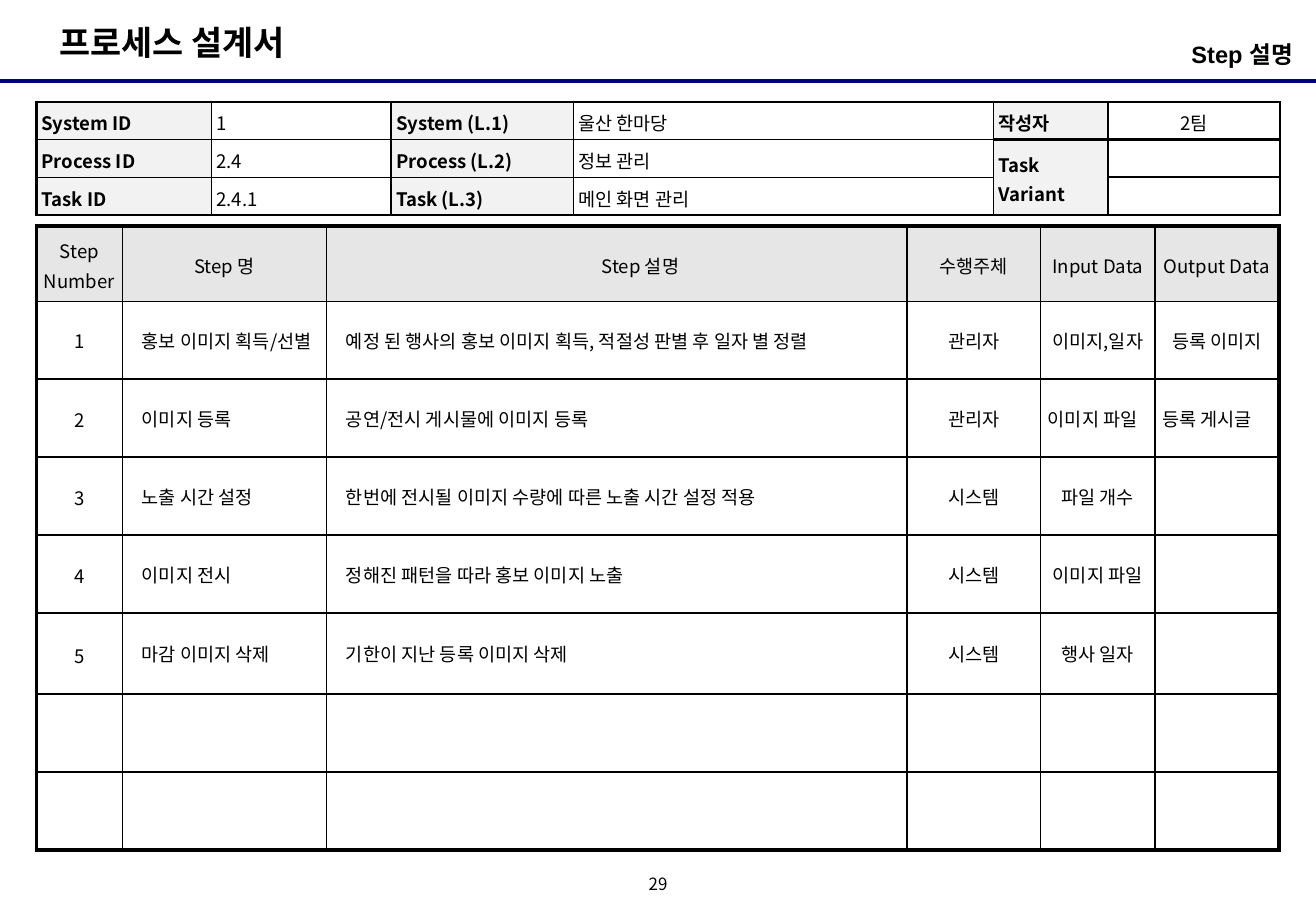
from lxml.etree import SubElement as Sub
from pptx import Presentation
from pptx.dml.color import RGBColor
from pptx.enum.shapes import MSO_CONNECTOR as Conn
from pptx.enum.text import MSO_ANCHOR as Anchor, PP_ALIGN as Align
from pptx.oxml.ns import qn
from pptx.util import Pt

NOTO = "Noto Sans CJK KR"
BLACK, NAVY = "000000", "000080"
LABEL, HEAD = "F2F2F2", "E6E6E6"
LEFT = 21.6

INFO = [
    ["System ID", "1", "System (L.1)", "울산 한마당", "작성자", "2팀"],
    ["Process ID", "2.4", "Process (L.2)", "정보 관리", "Task Variant", ""],
    ["Task ID", "2.4.1", "Task (L.3)", "메인 화면 관리", "", ""],
]
INFO_COLS = [103.7, 106.6, 108, 249.1, 67.7, 102.2]
INFO_ROWS = [22.4] * 3

STEPS = [
    ["Step Number", "Step 명", "Step 설명", "수행주체", "Input Data", "Output Data"],
    ["1", "홍보 이미지 획득/선별",
     "예정 된 행사의 홍보 이미지 획득, 적절성 판별 후 일자 별 정렬",
     "관리자", "이미지,일자", "등록 이미지"],
    ["2", "이미지 등록", "공연/전시 게시물에 이미지 등록",
     "관리자", "이미지 파일", "등록 게시글"],
    ["3", "노출 시간 설정", "한번에 전시될 이미지 수량에 따른 노출 시간 설정 적용",
     "시스템", "파일 개수", ""],
    ["4", "이미지 전시", "정해진 패턴을 따라 홍보 이미지 노출",
     "시스템", "이미지 파일", ""],
    ["5", "마감 이미지 삭제", "기한이 지난 등록 이미지 삭제",
     "시스템", "행사 일자", ""],
    [""] * 6,
    [""] * 6,
]
STEP_COLS = [51, 121, 344, 79.2, 67.8, 73.6]
STEP_ROWS = [44.6, 46.2, 46.2, 46.2, 46.2, 48.2, 46.2, 46.2]


def color(code):
    return RGBColor.from_string(code)


def write(para, text, size, bold=False, face=NOTO, align=Align.LEFT):
    para.text = text
    para.alignment = align
    font = para.font
    font.name, font.size, font.bold = face, Pt(size), bold
    font.color.rgb = color(BLACK)
    Sub(font._element, qn("a:ea")).set("typeface", NOTO)
    if not text:
        Sub(para._p, qn("a:endParaRPr")).set("sz", str(size * 100))


def add_text(slide, box, text, size, wrap=False, pad=None, **style):
    frame = slide.shapes.add_textbox(*map(Pt, box)).text_frame
    frame.word_wrap = wrap
    if pad:
        set_pad(frame, pad)
    write(frame.paragraphs[0], text, size, **style)
    return frame


def set_pad(item, pad):
    (item.margin_left, item.margin_top,
     item.margin_right, item.margin_bottom) = map(Pt, pad)


def set_edges(cell, widths):
    """Draw the left, right, top and bottom borders of a cell."""
    props = cell._tc.get_or_add_tcPr()
    for side, width in zip("LRTB", widths):
        line = Sub(props, qn(f"a:ln{side}"), w=str(Pt(width)))
        fill = Sub(line, qn("a:solidFill"))
        Sub(fill, qn("a:srgbClr"), val=BLACK)


def add_grid(slide, top, cols, rows, data, edge, pad, style):
    """Add a table; style(cell, para, row, col, text) returns the fill or None."""
    box = map(Pt, (LEFT, top, sum(cols), sum(rows)))
    table = slide.shapes.add_table(len(rows), len(cols), *box).table
    table.first_row = table.horz_banding = False
    for col, width in zip(table.columns, cols):
        col.width = Pt(width)
    for row, height in zip(table.rows, rows):
        row.height = Pt(height)
    for r, texts in enumerate(data):
        for c, text in enumerate(texts):
            cell = table.cell(r, c)
            set_pad(cell, pad)
            set_edges(cell, edge(r, c))
            fill = style(cell, cell.text_frame.paragraphs[0], r, c, text)
            if fill:
                cell.fill.solid()
                cell.fill.fore_color.rgb = color(fill)
            else:
                cell.fill.background()
    return table


def info_edge(r, c):
    heavy = c > 3
    return [1.5 if on else 1 for on in (c == 0, c == 5, heavy or r == 0, heavy or r == 2)]


def info_style(cell, para, r, c, text):
    label = c % 2 == 0
    write(para, text, 11, bold=label, align=Align.CENTER if c == 5 else Align.LEFT)
    para.line_spacing = 1.1
    cell.vertical_anchor = Anchor.MIDDLE if c > 3 else Anchor.TOP
    return LABEL if label else None


def step_edge(r, c):
    last = len(STEPS) - 1
    return [2.25 if on else 1 for on in (c == 0, c == 5, r == 0, r == last)]


def step_style(cell, para, r, c, text):
    left = r > 0 and c in (1, 2) or r == 2 and c > 3
    write(para, text, 11, align=Align.LEFT if left else Align.CENTER)
    cell.vertical_anchor = Anchor.MIDDLE
    if r == 0 or c == 0 and r > 1:
        para.line_spacing = 1.1
    if r and c in (1, 2):
        indent = 7.2
    else:
        indent = 28 if (r, c) == (0, 2) else 0
    para._p.get_or_add_pPr().set("marL", str(Pt(indent)))
    return HEAD if r == 0 else None


def main():
    deck = Presentation()
    deck.slide_width, deck.slide_height = Pt(780), Pt(540)
    slide = deck.slides.add_slide(deck.slide_layouts[6])

    rule = slide.shapes.add_connector(Conn.STRAIGHT, 0, Pt(48.2), Pt(780), Pt(48.2))
    rule.line.color.rgb = color(NAVY)
    rule.line.width = Pt(2.25)
    Sub(rule._element.spPr, qn("a:effectLst"))

    add_text(slide, (28.1, 9.4, 162.7, 31.7), "프로세스 설계서", 20, bold=True)
    page = add_text(slide, (378, 516.2, 24, 18), "29", 10,
                    pad=(0, 0, 0, 0), align=Align.CENTER)
    page.vertical_anchor = Anchor.MIDDLE
    page.paragraphs[0].line_spacing = 0.8

    info = add_grid(slide, 60.3, INFO_COLS, INFO_ROWS, INFO,
                    info_edge, (2.9, 2.9, 2.9, 2.9), info_style)
    info.cell(1, 4).merge(info.cell(2, 4))
    add_grid(slide, 134, STEP_COLS, STEP_ROWS, STEPS,
             step_edge, (4.3, 2.9, 4.3, 2.9), step_style)

    add_text(slide, (532, 20.2, 238.3, 28), "Step 설명", 14, wrap=True,
             pad=(0, 3.6, 4, 3.6), bold=True, face="Arial", align=Align.RIGHT)
    deck.save("out.pptx")


if __name__ == "__main__":
    main()
